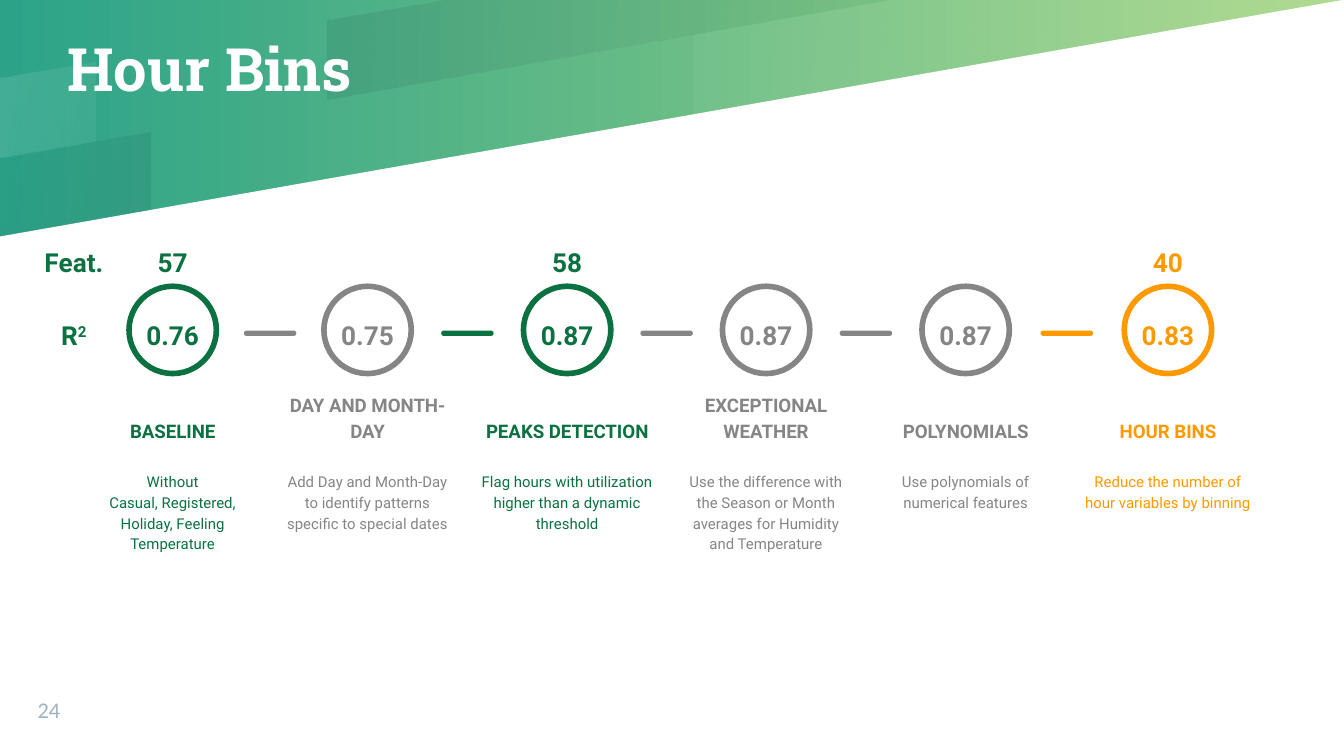
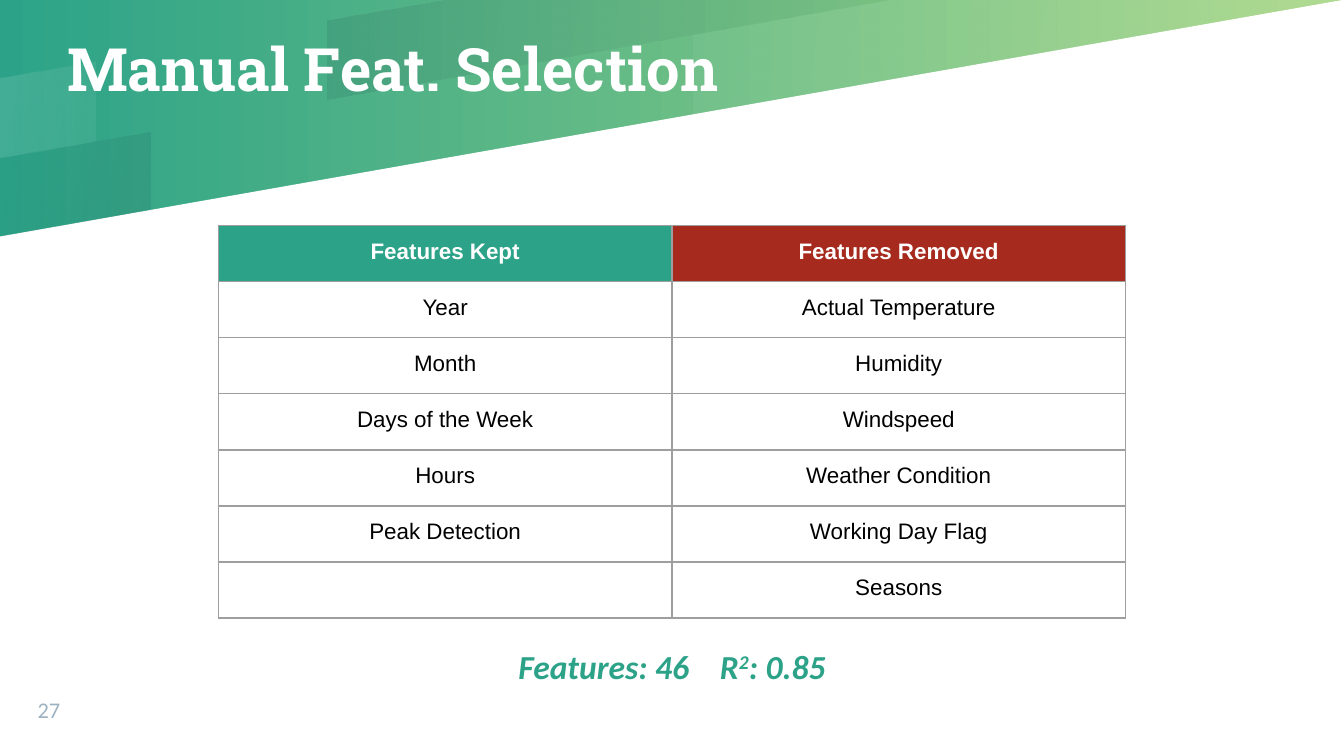
from dataclasses import dataclass
from itertools import pairwise

from lxml.etree import SubElement
from pptx import Presentation
from pptx.dml.color import RGBColor
from pptx.enum.shapes import MSO_SHAPE
from pptx.enum.text import MSO_ANCHOR, PP_ALIGN
from pptx.oxml.ns import qn
from pptx.util import Inches, Pt


@dataclass(frozen=True)
class Theme:
    teal: str = "2CA388"
    lime: str = "A6D683"
    white: str = "FFFFFF"
    night: str = "00001A"
    black: str = "000000"
    green: str = "0B7140"
    gray: str = "858585"
    orange: str = "FF9900"
    red: str = "A72A1E"
    border: str = "9E9E9E"
    number: str = "9EB3C2"
    title_font: str = "Roboto Slab"
    step_font: str = "Roboto"
    table_font: str = "Arial"
    body_font: str = "Calibri"
    title_size: int = 32
    summary_size: int = 18
    score_size: int = 14
    table_size: int = 12
    number_size: int = 12
    step_size: int = 10
    note_size: int = 8


THEME = Theme()
WIDTH, HEIGHT = 10, 5.625
SPACING = 1.15

WEDGE = [(0, HEIGHT), (WIDTH, HEIGHT), (WIDTH, 0), (9.99, 0), (0, 1.76)]
BANDS = [
    ([(0, 1.17), (0, 1.76), (1.12, 1.56), (1.12, 0.98)], THEME.night, (2, 8)),
    ([(6.65, 0), (5.16, 0.26), (5.16, 0.85), (9.99, 0)], THEME.white, (5, 12)),
    ([(0, 0.58), (0, 1.17), (0.71, 1.05), (0.71, 0.46)], THEME.white, (12, 5)),
    ([(3.32, 0), (2.44, 0.15), (2.44, 0.74), (6.65, 0)], THEME.night, (8, 2)),
]

LABEL_CENTER = 0.55
STEPS = [
    (1.285, 1.43, THEME.green, "57", "0.76", "BASELINE",
     "Without\nCasual, Registered, Holiday, Feeling Temperature"),
    (2.735, 1.43, THEME.gray, "", "0.75", "DAY AND MONTH-DAY",
     "Add Day and Month-Day to identify patterns specific to special dates"),
    (4.22, 1.49, THEME.green, "58", "0.87", "PEAKS DETECTION",
     "Flag hours with utilization higher than a dynamic threshold"),
    (5.70, 1.43, THEME.gray, "", "0.87", "EXCEPTIONAL WEATHER",
     "Use the difference with the Season or Month averages for Humidity and Temperature"),
    (7.185, 1.49, THEME.gray, "", "0.87", "POLYNOMIALS",
     "Use polynomials of numerical features"),
    (8.69, 1.49, THEME.orange, "40", "0.83", "HOUR BINS",
     "Reduce the number of hour variables by binning"),
]

FEATURES = [
    ("Features Kept", "Features Removed"),
    ("Year", "Actual Temperature"),
    ("Month", "Humidity"),
    ("Days of the Week", "Windspeed"),
    ("Hours", "Weather Condition"),
    ("Peak Detection", "Working Day Flag"),
    ("", "Seasons"),
]
HEADER_FILLS = (THEME.teal, THEME.red)
SUMMARY = [("Features: 46\tR", False), ("2", True), (": 0.85", False)]


def color(value):
    return RGBColor.from_string(value)


def add_span(para, text, font, size, tint, bold=False, italic=False, raised=False):
    for index, line in enumerate(text.split("\n")):
        if index:
            para.add_line_break()
        span = para.add_run()
        span.text = line
        span.font.name = font
        span.font.size = Pt(size)
        span.font.bold = bold
        span.font.italic = italic
        span.font.color.rgb = color(tint)
        if raised:
            span.font._element.set("baseline", "30000")
    return span


def add_box(page, left, top, width, height, anchor=MSO_ANCHOR.TOP, inset=0,
            align=PP_ALIGN.CENTER, spacing=SPACING):
    box = page.shapes.add_textbox(*map(Inches, (left, top, width, height)))
    frame = box.text_frame
    frame.word_wrap = True
    frame.vertical_anchor = anchor
    frame.margin_left = frame.margin_right = Inches(inset)
    frame.margin_top = frame.margin_bottom = Inches(inset)
    para = frame.paragraphs[0]
    para.alignment = align
    para.line_spacing = spacing
    return para


def set_gradient(fill, tints, angle):
    fill.gradient()
    fill.gradient_angle = angle
    for stop, tint in zip(fill.gradient_stops, tints):
        stop.color.rgb = color(tint)


def add_outline(page, points):
    corners = [(Inches(x), Inches(y)) for x, y in points]
    builder = page.shapes.build_freeform(*corners[0], scale=1.0)
    builder.add_line_segments(corners[1:], close=True)
    outline = builder.convert_to_shape()
    outline.shadow.inherit = False
    outline.line.fill.background()
    return outline


def add_title(page, title):
    para = add_box(page, 0.5, 0, 6, 1, MSO_ANCHOR.MIDDLE, align=PP_ALIGN.LEFT, spacing=1)
    span = add_span(para, title, THEME.title_font, THEME.title_size, THEME.white, True)
    properties = span.font._element
    effects = SubElement(properties, qn("a:effectLst"))
    properties.find(qn("a:solidFill")).addnext(effects)
    shadow = SubElement(effects, qn("a:outerShdw"), blurRad="38100", dist="38100",
                        dir="2700000", algn="tl")
    tint = SubElement(shadow, qn("a:srgbClr"), val=THEME.black)
    SubElement(tint, qn("a:alpha"), val="43000")


def add_page(deck, title, number):
    page = deck.slides.add_slide(deck.slide_layouts[6])
    set_gradient(page.background.fill, (THEME.teal, THEME.lime), 0)
    wedge = add_outline(page, WEDGE)
    wedge.fill.solid()
    wedge.fill.fore_color.rgb = color(THEME.white)
    for points, tint, opacities in BANDS:
        band = add_outline(page, points)
        set_gradient(band.fill, (tint, tint), 350)
        for stop, opacity in zip(band._element.spPr.iter(qn("a:srgbClr")), opacities):
            SubElement(stop, qn("a:alpha"), val=str(opacity * 1000))
    para = add_box(page, 0.28, 5.11, 0.53, 0.27, MSO_ANCHOR.BOTTOM,
                   align=PP_ALIGN.LEFT, spacing=1)
    add_span(para, number, THEME.body_font, THEME.number_size, THEME.number)
    add_title(page, title)
    return page


def add_figure(page, center, top, tint, text):
    para = add_box(page, center - 0.5, top, 1, 0.35)
    add_span(para, text, THEME.step_font, THEME.score_size, tint, True)
    return para


def add_step(page, center, width, tint, count, score, name, note):
    ring = page.shapes.add_shape(
        MSO_SHAPE.OVAL, *map(Inches, (center - 0.325, 2.13, 0.65, 0.65)))
    ring.shadow.inherit = False
    ring.fill.background()
    ring.line.color.rgb = color(tint)
    ring.line.width = Pt(3)
    if count:
        add_figure(page, center, 1.8, tint, count)
    add_figure(page, center, 2.34, tint, score)
    left = center - width / 2
    para = add_box(page, left, 2.9, width, 0.49, MSO_ANCHOR.BOTTOM, 0.1)
    add_span(para, name, THEME.step_font, THEME.step_size, tint, True)
    para = add_box(page, left, 3.4, width, 0.81, inset=0.1)
    add_span(para, note, THEME.step_font, THEME.note_size, tint)


def add_dash(page, center, tint):
    dash = page.shapes.add_shape(
        MSO_SHAPE.ROUNDED_RECTANGLE, *map(Inches, (center - 0.195, 2.46, 0.39, 0.04)))
    dash.adjustments[0] = 0.5
    dash.shadow.inherit = False
    dash.fill.solid()
    dash.fill.fore_color.rgb = color(tint)
    dash.line.fill.background()


def build_hour_bins(deck):
    page = add_page(deck, "Hour Bins", "24")
    add_figure(page, LABEL_CENTER, 1.8, THEME.green, "Feat.")
    para = add_figure(page, LABEL_CENTER, 2.34, THEME.green, "R")
    add_span(para, "2", THEME.step_font, THEME.score_size, THEME.green, True, raised=True)
    for step in STEPS:
        add_step(page, *step)
    for before, after in pairwise(STEPS):
        add_dash(page, (before[0] + after[0]) / 2, after[2])


def add_borders(cell):
    properties = cell._tc.get_or_add_tcPr()
    for index, side in enumerate(("lnL", "lnR", "lnT", "lnB")):
        line = SubElement(properties, qn(f"a:{side}"), w=str(Pt(0.75)))
        properties.insert(index, line)
        fill = SubElement(line, qn("a:solidFill"))
        SubElement(fill, qn("a:srgbClr"), val=THEME.border)


def fill_cell(cell, text, header_fill):
    cell.margin_left = cell.margin_right = Inches(0.1)
    cell.margin_top = cell.margin_bottom = Inches(0.1)
    para = cell.text_frame.paragraphs[0]
    para.alignment = PP_ALIGN.CENTER
    if text:
        tint = THEME.white if header_fill else THEME.black
        add_span(para, text, THEME.table_font, THEME.table_size, tint, bool(header_fill))
    else:
        SubElement(para._p, qn("a:endParaRPr"), sz=str(THEME.table_size * 100))
    if header_fill:
        cell.fill.solid()
        cell.fill.fore_color.rgb = color(header_fill)
    else:
        cell.fill.background()
    add_borders(cell)


def build_feature_selection(deck):
    page = add_page(deck, "Manual Feat. Selection", "27")
    left, width, row_height = 1.625, 6.75, 0.417
    grid = page.shapes.add_table(
        len(FEATURES), len(HEADER_FILLS),
        *map(Inches, (left, 1.68, width, row_height * len(FEATURES)))).table
    grid.first_row = grid.horz_banding = False
    for row, texts in enumerate(FEATURES):
        for column, text in enumerate(texts):
            fill_cell(grid.cell(row, column), text, None if row else HEADER_FILLS[column])
    para = add_box(page, left, 4.71, width, 0.4, MSO_ANCHOR.BOTTOM)
    for text, raised in SUMMARY:
        add_span(para, text, THEME.body_font, THEME.summary_size, THEME.teal,
                 True, True, raised)


def main():
    deck = Presentation()
    deck.slide_width, deck.slide_height = Inches(WIDTH), Inches(HEIGHT)
    build_hour_bins(deck)
    build_feature_selection(deck)
    deck.save("out.pptx")


if __name__ == "__main__":
    main()
